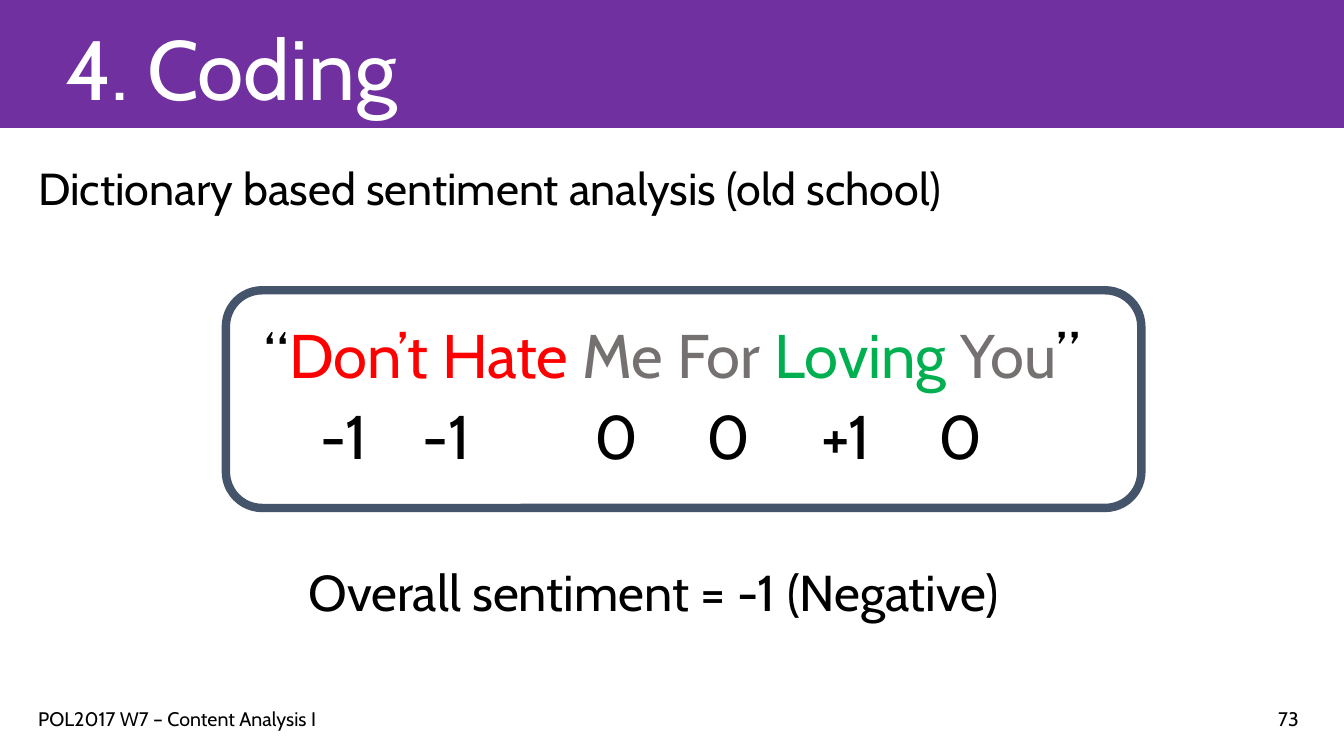
from lxml.etree import SubElement
from pptx import Presentation
from pptx.dml.color import RGBColor
from pptx.enum.shapes import MSO_SHAPE as Shape
from pptx.enum.text import MSO_ANCHOR as Anchor, PP_ALIGN as Align
from pptx.oxml.ns import qn
from pptx.util import Inches, Pt

FONT = "Cabin"
BLACK, WHITE, PURPLE, SLATE = "000000", "FFFFFF", "7030A0", "44546A"
RED, GREY, GREEN = "FF0000", "767171", "00B050"
QUOTE = [("“", BLACK), ("Don’t Hate ", RED), ("Me For ", GREY),
         ("Loving ", GREEN), ("You", GREY), ("”", BLACK)]
SCORES = {0.78: "-1", 1.8: "-1", 3.49: "0", 4.6: "0", 5.76: "+1", 6.9: "0"}


def rgb(code):
    """Turn a hex string into a colour."""
    return RGBColor.from_string(code)


def add_panel(page, kind, place, line, weight, fill=None):
    """Draw an outlined shape, filled when a fill colour is given."""
    panel = page.shapes.add_shape(kind, *map(Inches, place))
    panel.shadow.inherit = False
    panel.line.color.rgb = rgb(line)
    panel.line.width = Pt(weight)
    if fill:
        panel.fill.solid()
        panel.fill.fore_color.rgb = rgb(fill)
    else:
        panel.fill.background()


def add_box(page, place, anchor=Anchor.TOP):
    """Add a wrapping text box and return its text frame."""
    frame = page.shapes.add_textbox(*map(Inches, place)).text_frame
    frame.word_wrap = True
    frame.vertical_anchor = anchor
    return frame


def write(para, spans, size, **formats):
    """Fill a paragraph with coloured spans and apply its formats."""
    for name, value in formats.items():
        setattr(para, name, value)
    for text, color in spans:
        span = para.add_run()
        span.text = text
        for name, value in {"name": FONT, "size": Pt(size)}.items():
            setattr(span.font, name, value)
        span.font.color.rgb = rgb(color)


def add_label(page, place, text, size, color=BLACK, anchor=Anchor.TOP, **formats):
    """Add a text box holding one line."""
    frame = add_box(page, place, anchor)
    write(frame.paragraphs[0], [(text, color)], size, **formats)


def set_center_tabs(para, stops):
    """Give a paragraph centred tab stops, in inches."""
    tabs = SubElement(para._p.get_or_add_pPr(), qn("a:tabLst"))
    for stop in stops:
        SubElement(tabs, qn("a:tab"), pos=str(Inches(stop)), algn="ctr")


def add_example(page):
    """Write the quoted words, their scores and the overall verdict."""
    frame = add_box(page, (2.53, 3.18, 10.5, 3.4))
    write(frame.paragraphs[0], QUOTE, 44, line_spacing=0.9)

    scores = frame.add_paragraph()
    set_center_tabs(scores, SCORES)
    line = "".join(f"\t{score}" for score in SCORES.values())
    write(scores, [(line, BLACK)], 44, line_spacing=0.9, space_before=Pt(10))

    verdict = frame.add_paragraph()
    verdict._p.get_or_add_pPr().set("marL", str(Inches(0.43)))
    write(verdict, [("Overall sentiment = -1 (Negative)", BLACK)], 36,
          line_spacing=0.9, space_before=Pt(68))


def main():
    """Build the slide and save it."""
    deck = Presentation()
    deck.slide_width, deck.slide_height = Inches(13.33), Inches(7.5)
    page = deck.slides.add_slide(deck.slide_layouts[6])

    add_panel(page, Shape.RECTANGLE, (0, 0, 13.33, 1.26), PURPLE, 1, PURPLE)
    add_label(page, (0.55, 0.1, 12.78, 1.26), "4. Coding", 60, WHITE,
              Anchor.MIDDLE, line_spacing=0.9)
    add_label(page, (0.28, 1.55, 11.05, 0.64),
              "Dictionary based sentiment analysis (old school)", 32)
    add_panel(page, Shape.ROUNDED_RECTANGLE, (2.24, 2.88, 9.08, 2.16), SLATE, 6)
    add_example(page)
    add_label(page, (0.28, 6.96, 4.22, 0.4), "POL2017 W7 – Content Analysis I", 14)
    add_label(page, (10.16, 6.96, 2.82, 0.4), "73", 14, alignment=Align.RIGHT)
    deck.save("out.pptx")


if __name__ == "__main__":
    main()
